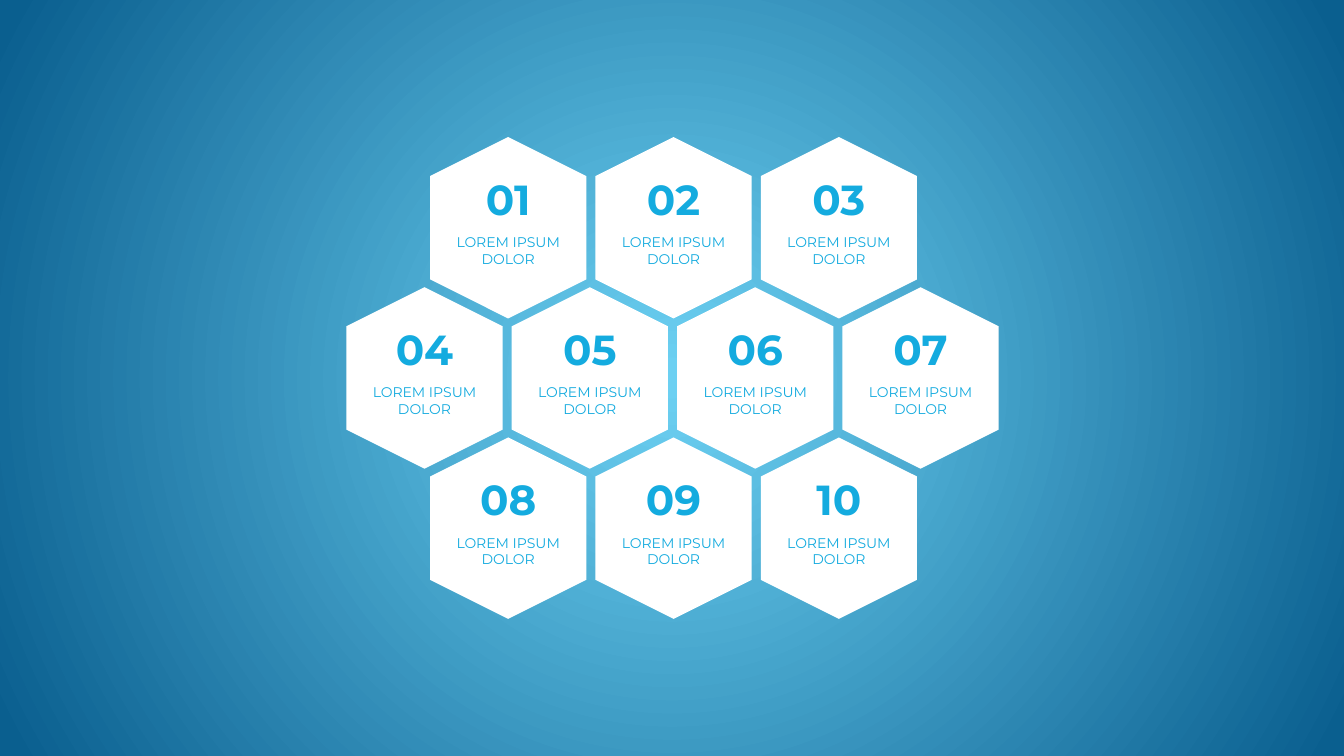
from lxml import etree
from pptx import Presentation
from pptx.dml.color import RGBColor
from pptx.enum.shapes import MSO_SHAPE
from pptx.enum.text import MSO_AUTO_SIZE, PP_ALIGN
from pptx.oxml.ns import qn
from pptx.util import Inches, Pt

HEXAGON = MSO_SHAPE.HEXAGON
CENTER = PP_ALIGN.CENTER
GROW = MSO_AUTO_SIZE.SHAPE_TO_FIT_TEXT
BLANK_LAYOUT = 6

COLORS = {"tile": "FFFFFF", "text": "14ABDF", "glow": "6CD0F2", "edge": "0A5F8F"}
FONT = "Montserrat"

COLUMN_PITCH = 1.64
# Each row: horizontal and vertical centre of its first tile, then its numbers
ROWS = [
    (5.04, 2.26, ["01", "02", "03"]),
    (4.21, 3.75, ["04", "05", "06", "07"]),
    (5.04, 5.24, ["08", "09", "10"]),
]
LABEL = "LOREM IPSUM DOLOR"


class HoneycombSlide:
    def __init__(self, presentation):
        self.slide = presentation.slides.add_slide(presentation.slide_layouts[BLANK_LAYOUT])

    def color(self, name):
        return RGBColor.from_string(COLORS[name])

    def add_radial_background(self):
        fill = self.slide.background.fill
        fill.gradient()
        for stop, position, name in zip(fill.gradient_stops, (0.01, 0.98), ("glow", "edge")):
            stop.position = position
            stop.color.rgb = self.color(name)
        linear = self.slide.element.find(".//" + qn("a:lin"))
        gradient = linear.getparent()
        gradient.remove(linear)
        radial = etree.SubElement(gradient, qn("a:path"), path="circle")
        sides = {side: "50000" for side in "ltrb"}
        etree.SubElement(radial, qn("a:fillToRect"), **sides)

    def add_hexagon(self, center_x, center_y, width=1.8, height=1.55):
        """Add a pointy-top hexagon; width and height are taken before the quarter turn."""
        shape = self.slide.shapes.add_shape(
            HEXAGON, Inches(center_x - width / 2), Inches(center_y - height / 2),
            Inches(width), Inches(height))
        shape.rotation = 90
        shape.shadow.inherit = False
        shape.fill.solid()
        shape.fill.fore_color.rgb = self.color("tile")
        shape.line.fill.background()

    def add_text(self, text, center_x, top, width, height, size, bold=False):
        box = self.slide.shapes.add_textbox(
            Inches(center_x - width / 2), Inches(top), Inches(width), Inches(height))
        frame = box.text_frame
        frame.word_wrap = True
        frame.auto_size = GROW
        paragraph = frame.paragraphs[0]
        paragraph.alignment = CENTER
        run = paragraph.add_run()
        run.text = text
        run.font.name = FONT
        run.font.size = Pt(size)
        run.font.bold = bold
        run.font.color.rgb = self.color("text")

    def add_tile(self, number, center_x, center_y):
        self.add_hexagon(center_x, center_y)
        self.add_text(number, center_x, center_y - 0.59, 0.92, 0.67, size=30, bold=True)
        self.add_text(LABEL, center_x, center_y + 0.01, 1.38, 0.48, size=10)


def main():
    presentation = Presentation()
    presentation.slide_width = Inches(13.33)
    presentation.slide_height = Inches(7.5)

    honeycomb = HoneycombSlide(presentation)
    honeycomb.add_radial_background()
    for first_x, center_y, numbers in ROWS:
        for column, number in enumerate(numbers):
            honeycomb.add_tile(number, first_x + column * COLUMN_PITCH, center_y)

    presentation.save("out.pptx")


if __name__ == "__main__":
    main()
